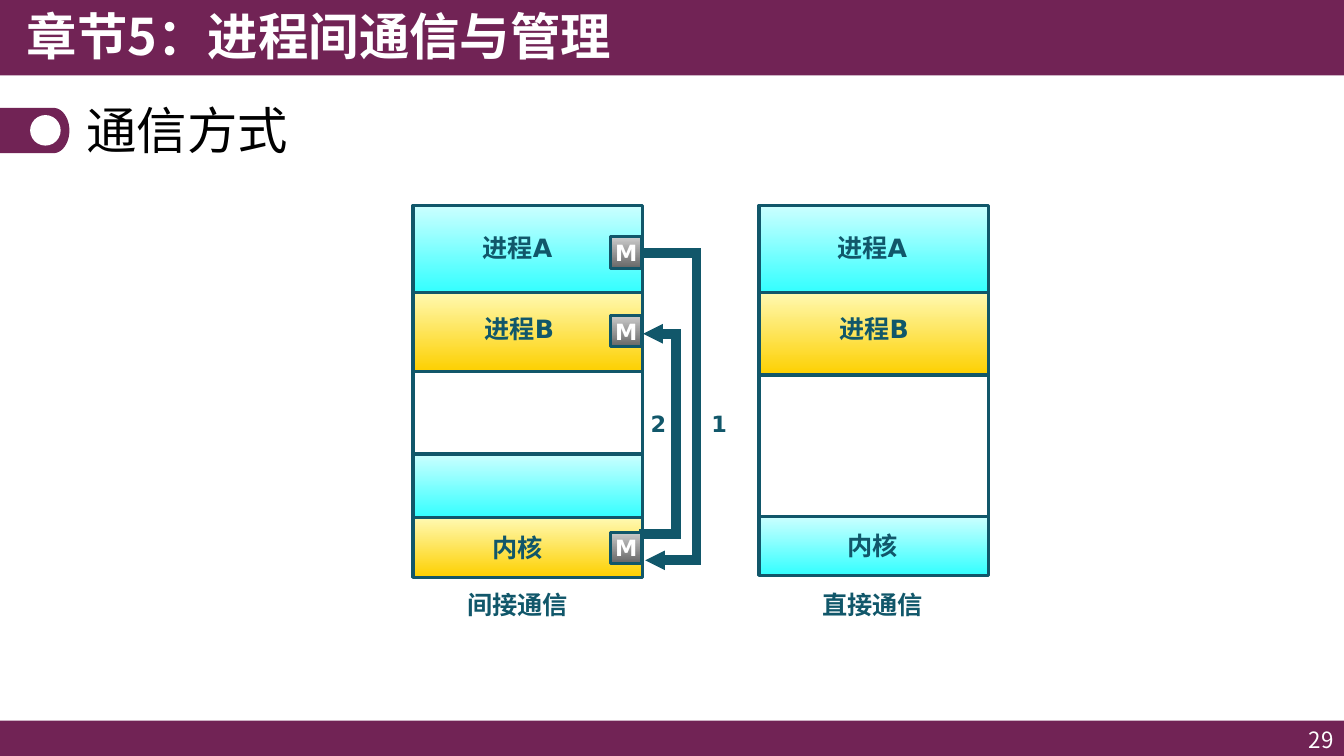
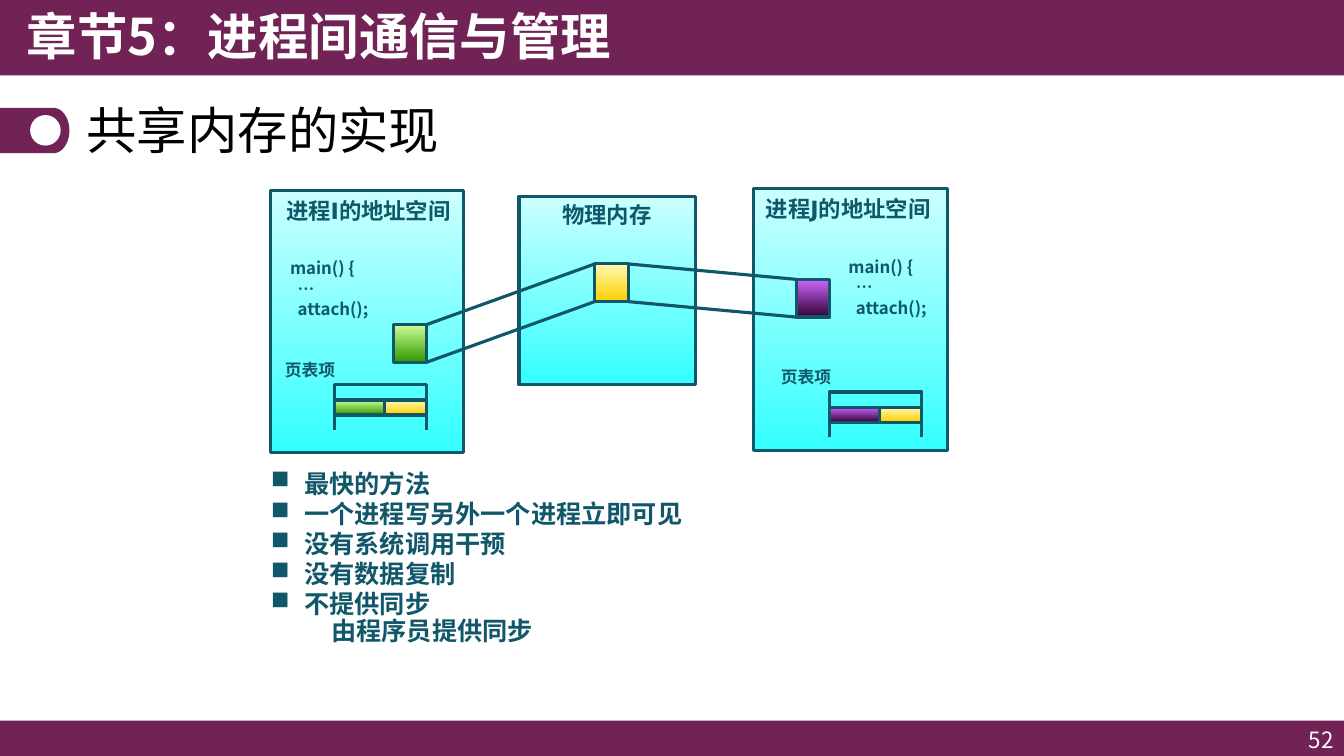
from math import cos, pi, sin

from lxml import etree
from pptx import Presentation
from pptx.dml.color import RGBColor
from pptx.enum.shapes import MSO_CONNECTOR, MSO_SHAPE
from pptx.enum.text import MSO_ANCHOR, PP_ALIGN
from pptx.oxml.ns import qn
from pptx.util import Cm, Pt

RECT, OVAL, STRAIGHT = MSO_SHAPE.RECTANGLE, MSO_SHAPE.OVAL, MSO_CONNECTOR.STRAIGHT
TOP, MIDDLE = MSO_ANCHOR.TOP, MSO_ANCHOR.MIDDLE
LEFT, CENTER, RIGHT = PP_ALIGN.LEFT, PP_ALIGN.CENTER, PP_ALIGN.RIGHT

W, H = 33.87, 19.05
NOTO, DEJAVU = "Noto Sans CJK SC", "DejaVu Sans"
COLORS = {"plum": "712355", "teal": "11576A", "white": "FFFFFF", "black": "000000"}
GRADIENTS = {
    "cyan": ("CCFFFF", "33FFFF"),
    "gold": ("FFF9B1", "FDD000"),
    "grey": ("CCCCCC", "666666"),
    "green": ("CCFF99", "339900"),
    "purple": ("CC66FF", "330033"),
}

# Content (lengths in cm)
CHAPTER = "章节5：进程间通信与管理"

# Each band: height, fill, label
STACK_TOP, STACK_W, CAPTION_Y = 5.18, 5.79, 14.73
STACKS = [
    {"x": 10.41, "shift": 0, "caption": "间接通信",
     "bands": [(2.19, "cyan", "进程A"), (1.99, "gold", "进程B"), (2.08, None, ""),
               (1.61, "cyan", ""), (1.5, "gold", "内核")]},
    {"x": 19.13, "shift": 0.22, "caption": "直接通信",
     "bands": [(2.19, "cyan", "进程A"), (2.08, "gold", "进程B"), (3.56, None, ""),
               (1.49, "cyan", "内核")]},
]
# Label offset inside its band, and width
LABELS = {"进程A": (1.5, 0.56, 2.29), "进程B": (1.55, 0.4, 2.29), "内核": (1.76, 0.23, 1.8)}
MESSAGE_X, MESSAGE_SIZE, MESSAGE_YS = 15.39, 0.79, (5.97, 7.95, 13.41)
# Each route: number, number x, corner points
ROUTES = [
    ("2", 16.15, [(16.23, 13.46), (17.04, 13.46), (17.04, 8.41), (16.21, 8.41)]),
    ("1", 17.68, [(16.21, 6.38), (17.55, 6.38), (17.55, 14.12), (16.26, 14.12)]),
]

CODE = ["main() {", "  …", "  attach();"]
PROCESSES = [
    {"title": "进程I的地址空间", "space": (6.81, 4.8), "title_at": (6.96, 4.85),
     "code_at": (7.06, 6.38), "page": (9.91, 8.18), "fill": "green",
     "entry_at": (6.93, 8.94), "table": (8.43, 9.7)},
    {"title": "进程J的地址空间", "space": (19, 4.75), "title_at": (19.05, 4.8),
     "code_at": (21.13, 6.35), "page": (20.07, 7.04), "fill": "purple",
     "entry_at": (19.43, 9.12), "table": (20.9, 9.88)},
]
SPACE_SIZE, PAGE_SIZE = (4.88, 6.6), (0.84, 0.95)
MEMORY, MEMORY_PAGE = (13.08, 4.95, 4.45, 4.75), (14.99, 6.65)
POINTS = ["最快的方法", "一个进程写另外一个进程立即可见", "没有系统调用干预",
          "没有数据复制", "不提供同步"]
SUBPOINT = "由程序员提供同步"


def rgb(name):
    return RGBColor.from_string(COLORS[name])


def style(p, size, color="teal", bold=True, font=NOTO, align=LEFT):
    p.alignment = align
    f = p.font
    f.size, f.bold, f.name = Pt(size), bold, font
    f.color.rgb = rgb(color)
    ea = etree.SubElement(f._element, qn("a:ea"))
    ea.set("typeface", NOTO)


def add_text(s, x, y, w, h, lines, size, anchor=TOP, spacing=None, **look):
    tf = s.shapes.add_textbox(Cm(x), Cm(y), Cm(w), Cm(h)).text_frame
    tf.word_wrap, tf.vertical_anchor = True, anchor
    for i, line in enumerate(lines):
        p = tf.paragraphs[0] if i == 0 else tf.add_paragraph()
        p.text = line
        if spacing:
            p.line_spacing = spacing
        style(p, size, **look)
    return tf


def paint(sp, fill=None, line="teal"):
    sp.shadow.inherit = False
    if fill in GRADIENTS:
        sp.fill.gradient()
        sp.fill.gradient_angle = 270
        for stop, color in zip(sp.fill.gradient_stops, GRADIENTS[fill]):
            stop.color.rgb = RGBColor.from_string(color)
    elif fill:
        sp.fill.solid()
        sp.fill.fore_color.rgb = rgb(fill)
    else:
        sp.fill.background()
    if line:
        sp.line.color.rgb, sp.line.width = rgb(line), Pt(2.25)
    else:
        sp.line.fill.background()
    return sp


def add_box(s, x, y, w, h, fill=None, line="teal", kind=RECT):
    return paint(s.shapes.add_shape(kind, Cm(x), Cm(y), Cm(w), Cm(h)), fill, line)


def add_path(s, points, close, fill=None, line="teal"):
    pts = [(Cm(x), Cm(y)) for x, y in points]
    fb = s.shapes.build_freeform(*pts[0])
    fb.add_line_segments(pts[1:], close=close)
    return paint(fb.convert_to_shape(), fill, line)


def add_line(s, start, end, width=2.25):
    c = s.shapes.add_connector(STRAIGHT, *(Cm(v) for v in (*start, *end)))
    c.line.color.rgb, c.line.width = rgb("teal"), Pt(width)
    etree.SubElement(c._element.spPr, qn("a:effectLst"))
    return c


def add_route(s, points):
    """Thick right-angled arrow; square caps fill the corners."""
    segments = list(zip(points, points[1:]))
    for i, (start, end) in enumerate(segments):
        ln = add_line(s, start, end, 7).line._get_or_add_ln()
        if i < len(segments) - 1:
            ln.set("cap", "sq")
        else:
            tail = etree.SubElement(ln, qn("a:tailEnd"))
            for key, value in (("type", "triangle"), ("w", "sm"), ("len", "sm")):
                tail.set(key, value)


def new_slide(prs, heading, number):
    s = prs.slides.add_slide(prs.slide_layouts[6])
    add_box(s, 0, 18.16, W, 0.89, "plum", None)
    add_box(s, 0, 0, W, 1.9, "plum", None)
    # Rounded tab with a white dot
    arc = [(1.35 + 0.4 * cos(a), 3.29 + 0.57 * sin(a))
           for a in (pi * (i / 24 - 0.5) for i in range(25))]
    add_path(s, [(0, 2.72), *arc, (0, 3.86)], True, "plum", None)
    add_box(s, 0.76, 2.9, 0.77, 0.77, "white", None, OVAL)
    add_text(s, 0.43, 0, 18.6, 1.96, [CHAPTER], 36, color="white")
    add_text(s, 1.93, 2.41, 30, 1.88, [heading], 36, MIDDLE, 0.9, color="black", bold=False)
    add_text(s, 25.96, 18.21, 7.9, 0.84, [number], 16, MIDDLE,
             color="white", bold=False, align=RIGHT)
    return s


def communication_slide(prs):
    s = new_slide(prs, "通信方式", "29")
    # Memory stacks
    for stack in STACKS:
        x, y = stack["x"], STACK_TOP
        for h, fill, label in stack["bands"]:
            add_box(s, x, y, STACK_W, h, fill)
            if label:
                dx, dy, w = LABELS[label]
                add_text(s, x + dx + stack["shift"], y + dy, w, 1.02, [label], 18, font=DEJAVU)
            y += h
        add_text(s, x + 1.12 + stack["shift"], CAPTION_Y, 3.07, 1.02,
                 [stack["caption"]], 18, font=DEJAVU)
    # Message routes
    for number, x, points in ROUTES:
        add_route(s, points)
        add_text(s, x, 10.21, 0.91, 0.94, [number], 16, font=DEJAVU)
    # Messages
    for y in MESSAGE_YS:
        tf = add_box(s, MESSAGE_X, y, MESSAGE_SIZE, MESSAGE_SIZE, "grey").text_frame
        tf.margin_left = tf.margin_right = tf.margin_top = tf.margin_bottom = 0
        tf.word_wrap, tf.vertical_anchor = False, MIDDLE
        tf.text = "M"
        style(tf.paragraphs[0], 16, "white", font=DEJAVU, align=CENTER)


def add_page_table(s, x, y, fill):
    w, h, row, own = 2.33, 1.14, 0.38, 1.27
    add_path(s, [(x, y + h), (x, y), (x + w, y), (x + w, y + h)], False)
    add_box(s, x, y + row, own, row, fill)
    add_box(s, x + own, y + row, w - own, row, "gold")


def add_points(s):
    tf = add_text(s, 6.58, 11.67, 14, 5, [*POINTS, SUBPOINT], 18)
    for p in tf.paragraphs:
        sub = p.text == SUBPOINT
        p.line_spacing = Pt(19.5 if sub else 21.5)
        pPr = p._p.get_or_add_pPr()
        pPr.set("marL", str(Cm(1.52 if sub else 0.84)))
        if not sub:
            pPr.set("indent", str(-Cm(0.84)))
            bullet = etree.Element(qn("a:buChar"))
            bullet.set("char", "■")
            pPr.find(qn("a:defRPr")).addprevious(bullet)


def shared_memory_slide(prs):
    s = new_slide(prs, "共享内存的实现", "52")
    # Address spaces and physical memory
    add_box(s, *MEMORY, "cyan")
    for proc in PROCESSES:
        add_box(s, *proc["space"], *SPACE_SIZE, "cyan")
    add_box(s, *MEMORY_PAGE, *PAGE_SIZE, "gold")
    add_text(s, 13.92, 4.95, 2.8, 0.94, ["物理内存"], 16, font=DEJAVU)
    page_w, page_h = PAGE_SIZE
    for proc in PROCESSES:
        add_box(s, *proc["page"], *PAGE_SIZE, proc["fill"])
        # Mapping lines between facing page corners
        (x1, y1), (x2, y2) = sorted([proc["page"], MEMORY_PAGE])
        for dy in (0, page_h):
            add_line(s, (x1 + page_w, y1 + dy), (x2, y2 + dy))
        add_text(s, *proc["code_at"], 2.57, 1.8, CODE, 12)
        add_page_table(s, *proc["table"], proc["fill"])
        add_text(s, *proc["entry_at"], 1.8, 0.76, ["页表项"], 12)
        add_text(s, *proc["title_at"], 4.85, 0.94, [proc["title"]], 16, font=DEJAVU)
    add_points(s)


def main():
    prs = Presentation()
    prs.slide_width, prs.slide_height = Cm(W), Cm(H)
    communication_slide(prs)
    shared_memory_slide(prs)
    prs.save("out.pptx")


if __name__ == "__main__":
    main()
